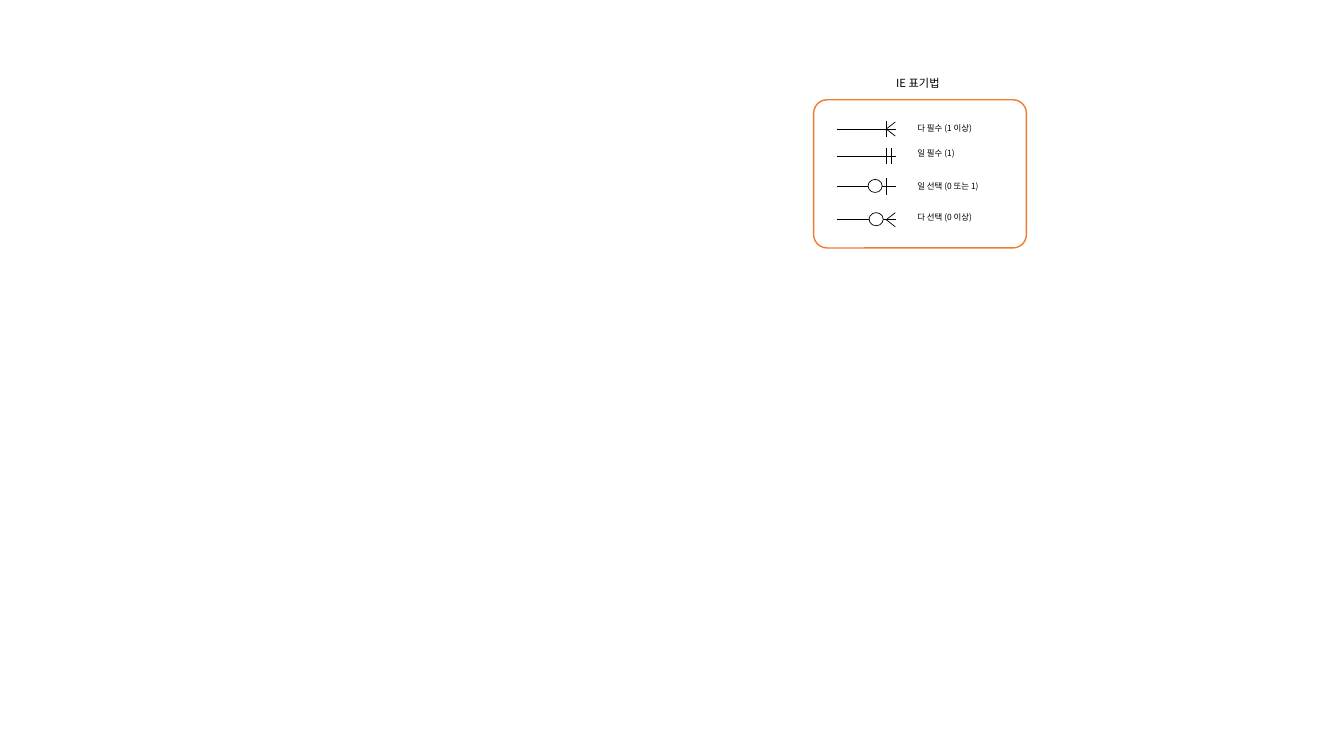
from pptx import Presentation
from pptx.dml.color import RGBColor
from pptx.enum.shapes import MSO_CONNECTOR as Link, MSO_SHAPE as Kind
from pptx.enum.text import MSO_AUTO_SIZE as Fit
from pptx.oxml.ns import qn
from pptx.util import Inches, Pt
from lxml.etree import SubElement

BLACK = RGBColor(0x00, 0x00, 0x00)
WHITE = RGBColor(0xFF, 0xFF, 0xFF)
ORANGE = RGBColor(0xED, 0x7D, 0x31)


class Board:
    font = "Noto Sans CJK KR"
    thin = 0.5

    def __init__(self, slide):
        self.shapes = slide.shapes

    def shape(self, kind, x, y, w, h, color, width):
        item = self.shapes.add_shape(kind, *map(Inches, (x, y, w, h)))
        item.shadow.inherit = False
        item.fill.solid()
        item.fill.fore_color.rgb = WHITE
        item.line.color.rgb = color
        item.line.width = Pt(width)
        return item

    def line(self, x1, y1, x2, y2):
        item = self.shapes.add_connector(
            Link.STRAIGHT, *map(Inches, (x1, y1, x2, y2)))
        item.line.color.rgb = BLACK
        item.line.width = Pt(self.thin)
        SubElement(item._element.spPr, qn("a:effectLst"))

    def text(self, x, y, w, h, words, size):
        box = self.shapes.add_textbox(*map(Inches, (x, y, w, h)))
        frame = box.text_frame
        for key, value in {"word_wrap": False,
                           "auto_size": Fit.SHAPE_TO_FIT_TEXT}.items():
            setattr(frame, key, value)
        run = frame.paragraphs[0].add_run()
        run.text = words
        for key, value in {"name": self.font, "size": Pt(size)}.items():
            setattr(run.font, key, value)
        run.font.color.rgb = BLACK
        # Korean letters use the East Asian font slot
        SubElement(run._r.get_or_add_rPr(), qn("a:ea"), typeface=self.font)

    def mark(self, y, ticks, foot, ring):
        """Draw one relation line with its end symbols."""
        self.line(8.3, y, 8.89, y)
        if foot:
            for rise in (-0.07, 0.07):
                self.line(8.79, y, 8.88, y + rise)
        for x in ticks:
            self.line(x, y - 0.08, x, y + 0.08)
        if ring:
            self.shape(Kind.OVAL, ring, y - 0.07, 0.14, 0.13,
                       BLACK, self.thin)


# Line height, ticks, crow's foot, ring left, label top, label width, label
ROWS = [
    (1.28, [8.79], True, None, 1.17, 0.81, "다 필수 (1 이상)"),
    (1.55, [8.79, 8.84], False, None, 1.42, 0.61, "일 필수 (1)"),
    (1.85, [8.79], False, 8.61, 1.75, 0.89, "일 선택 (0 또는 1)"),
    (2.18, [], True, 8.62, 2.06, 0.81, "다 선택 (0 이상)"),
]


def main():
    deck = Presentation()
    deck.slide_width, deck.slide_height = Inches(13.33), Inches(7.5)
    board = Board(deck.slides.add_slide(deck.slide_layouts[6]))

    # Frame and title
    frame = board.shape(Kind.ROUNDED_RECTANGLE, 8.07, 0.99, 2.11, 1.47,
                        ORANGE, 1)
    frame.adjustments[0] = 0.09
    board.text(8.79, 0.71, 0.67, 0.24, "IE 표기법", 8)

    # Legend rows
    for y, ticks, foot, ring, top, width, label in ROWS:
        board.mark(y, ticks, foot, ring)
        board.text(9, top, width, 0.2, label, 6)

    deck.save("out.pptx")


if __name__ == "__main__":
    main()
